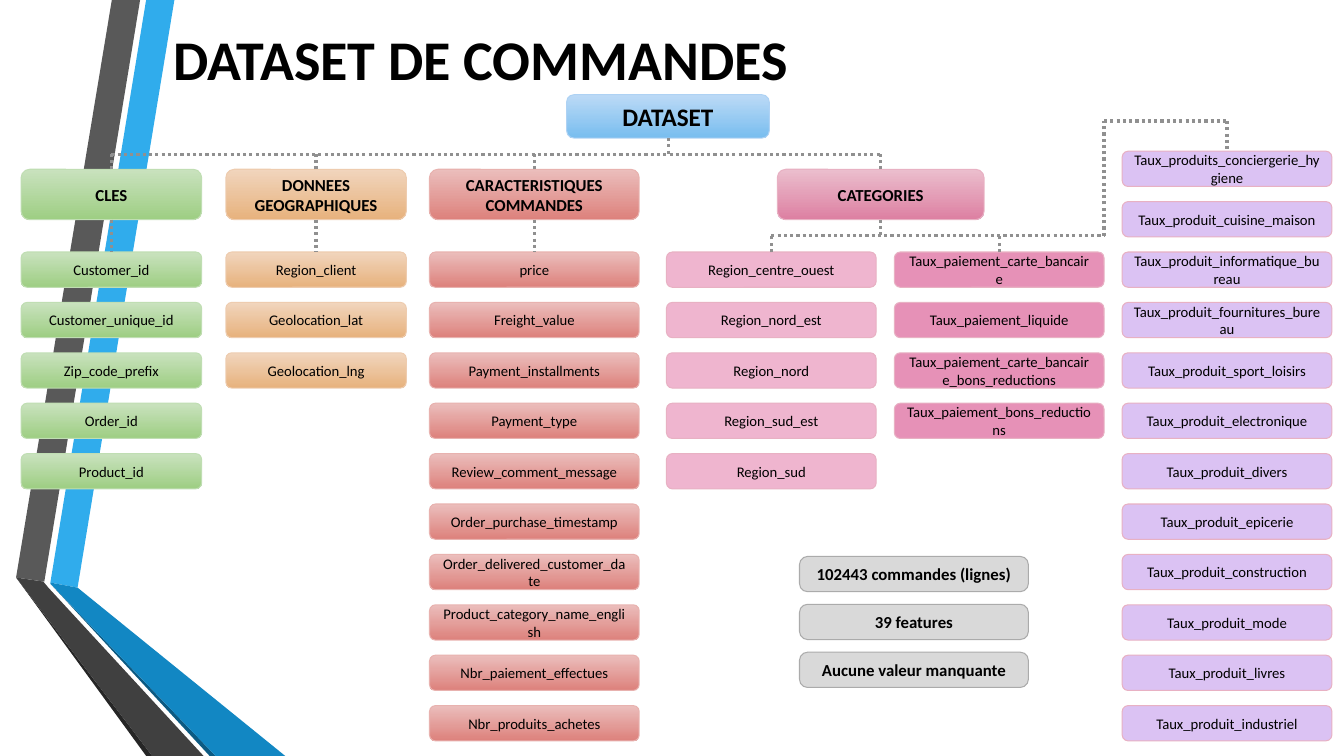
from dataclasses import dataclass
from typing import Optional

import lxml.etree
import pptx
import pptx.dml.color
import pptx.enum.dml
import pptx.enum.shapes
import pptx.enum.text
import pptx.oxml.ns
import pptx.util

Inches = pptx.util.Inches

# Fills are (top, bottom) gradients; equal values give a plain fill
COLORS = {
    "text": "000000", "connector": "909090",
    "blue_top": "BCDAF6", "blue_bottom": "78BDEF", "blue_line": "AED2F4",
    "green_top": "C9E2BE", "green_bottom": "9ECE83", "green_line": "C0DEB3",
    "orange_top": "F1D5BD", "orange_bottom": "E7B27D", "orange_line": "EECCAF",
    "red_top": "EBBEBC", "red_bottom": "DD817C", "red_line": "E8B2AF",
    "pink_top": "EBBECD", "pink_bottom": "DD80A2", "pink_line": "E8B1C3",
    "region": "EFB5CF", "payment": "E691B7", "product": "DBC2F3",
    "summary": "D9D9D9", "summary_line": "ABABAB",
    "band_blue": "30ACEC", "band_grey": "595959", "fold_black": "262626",
    "fold_navy": "0C5A82", "fold_blue": "1287C3", "fold_grey": "404040",
}
ROW_PITCH = 0.5
ROW_HEIGHT = 0.35
HEADER_TOP, HEADER_HEIGHT = 1.68, 0.5
FIELDS_TOP = 2.5


@dataclass
class Palette:
    top: str
    bottom: str
    line: str


@dataclass
class Column:
    left: float
    width: float
    palette: Palette
    fields: list[str]
    header: Optional[str] = None
    top: float = FIELDS_TOP

    @property
    def center(self) -> float:
        return self.left + self.width / 2


@dataclass
class Band:
    color: str
    points: list[tuple[float, float]]


def gradient_palette(name: str) -> Palette:
    return Palette(f"{name}_top", f"{name}_bottom", f"{name}_line")


BANDS = [
    Band("band_blue", [(0.5, 5.78), (0.77, 5.83), (1.73, 0), (1.45, 0)]),
    Band("band_grey", [(1.39, 0), (1.11, 0), (0.16, 5.73), (0.44, 5.77)]),
    Band("fold_black", [(0.16, 5.73), (1.45, 7.5), (1.51, 7.5)]),
    Band("fold_navy", [(0.5, 5.79), (2.08, 7.5), (2.14, 7.5)]),
    Band("fold_blue", [(0.5, 5.78), (0.5, 5.79), (2.14, 7.5), (2.83, 7.5), (0.77, 5.83)]),
    Band("fold_grey", [(2.02, 7.5), (0.48, 5.83), (0.43, 5.77), (0.16, 5.73), (1.51, 7.5)]),
]
KEYS = Column(0.21, 1.79, gradient_palette("green"), [
    "Customer_id", "Customer_unique_id", "Zip_code_prefix", "Order_id", "Product_id",
], "CLES")
GEOGRAPHY = Column(2.24, 1.79, gradient_palette("orange"), [
    "Region_client", "Geolocation_lat", "Geolocation_lng",
], "DONNEES GEOGRAPHIQUES")
ORDERS = Column(4.26, 2.08, gradient_palette("red"), [
    "price", "Freight_value", "Payment_installments", "Payment_type",
    "Review_comment_message", "Order_purchase_timestamp",
    "Order_delivered_customer_date", "Product_category_name_english",
    "Nbr_paiement_effectues", "Nbr_produits_achetes",
], "CARACTERISTIQUES COMMANDES")
CATEGORIES = Column(7.71, 2.05, gradient_palette("pink"), [], "CATEGORIES")
REGIONS = Column(6.61, 2.08, Palette("region", "region", "pink_line"), [
    "Region_centre_ouest", "Region_nord_est", "Region_nord", "Region_sud_est", "Region_sud",
])
PAYMENTS = Column(8.87, 2.08, Palette("payment", "payment", "pink_line"), [
    "Taux_paiement_carte_bancaire", "Taux_paiement_liquide",
    "Taux_paiement_carte_bancaire_bons_reductions", "Taux_paiement_bons_reductions",
])
PRODUCTS = Column(11.13, 2.08, Palette("product", "product", "pink_line"), [
    "Taux_produits_conciergerie_hygiene", "Taux_produit_cuisine_maison",
    "Taux_produit_informatique_bureau", "Taux_produit_fournitures_bureau",
    "Taux_produit_sport_loisirs", "Taux_produit_electronique", "Taux_produit_divers",
    "Taux_produit_epicerie", "Taux_produit_construction", "Taux_produit_mode",
    "Taux_produit_livres", "Taux_produit_industriel",
], top=1.5)
COLUMNS = [KEYS, GEOGRAPHY, ORDERS, CATEGORIES, REGIONS, PAYMENTS, PRODUCTS]
SUMMARY = ["102443 commandes (lignes)", "39 features", "Aucune valeur manquante"]


def rgb(name: str) -> pptx.dml.color.RGBColor:
    return pptx.dml.color.RGBColor.from_string(COLORS[name])


def write_text(shape, text: str, *, size: float, bold: bool = False,
               align=pptx.enum.text.PP_ALIGN.CENTER) -> None:
    frame = shape.text_frame
    frame.word_wrap = True
    frame.auto_size = pptx.enum.text.MSO_AUTO_SIZE.NONE
    frame.vertical_anchor = pptx.enum.text.MSO_ANCHOR.MIDDLE
    paragraph = frame.paragraphs[0]
    paragraph.alignment = align
    run = paragraph.add_run()
    run.text = text
    run.font.name = "Calibri"
    run.font.size = pptx.util.Pt(size)
    run.font.bold = bold
    run.font.color.rgb = rgb("text")


def add_box(slide, left: float, top: float, width: float, height: float,
            palette: Palette, text: str, *, size: float = 10.5, bold: bool = False):
    shape = slide.shapes.add_shape(
        pptx.enum.shapes.MSO_SHAPE.ROUNDED_RECTANGLE,
        Inches(left), Inches(top), Inches(width), Inches(height))
    shape.shadow.inherit = False
    if palette.top == palette.bottom:
        shape.fill.solid()
        shape.fill.fore_color.rgb = rgb(palette.top)
    else:
        shape.fill.gradient()
        shape.fill.gradient_angle = 270
        for stop, color in zip(shape.fill.gradient_stops, (palette.top, palette.bottom)):
            stop.color.rgb = rgb(color)
    shape.line.color.rgb = rgb(palette.line)
    shape.line.width = pptx.util.Pt(0.75)
    write_text(shape, text, size=size, bold=bold)
    return shape


def add_dotted_path(slide, *points: tuple[float, float]) -> None:
    for (x1, y1), (x2, y2) in zip(points, points[1:]):
        line = slide.shapes.add_connector(
            pptx.enum.shapes.MSO_CONNECTOR.STRAIGHT,
            Inches(x1), Inches(y1), Inches(x2), Inches(y2))
        line.line.color.rgb = rgb("connector")
        line.line.width = pptx.util.Pt(2.25)
        line.line.dash_style = pptx.enum.dml.MSO_LINE.ROUND_DOT
        lxml.etree.SubElement(line.element.spPr, pptx.oxml.ns.qn("a:effectLst"))


def add_band(slide, band: Band) -> None:
    points = [(Inches(x), Inches(y)) for x, y in band.points]
    builder = slide.shapes.build_freeform(*points[0])
    builder.add_line_segments(points[1:], close=True)
    shape = builder.convert_to_shape()
    shape.shadow.inherit = False
    shape.fill.solid()
    shape.fill.fore_color.rgb = rgb(band.color)
    shape.line.fill.background()


def add_column(slide, column: Column) -> None:
    if column.header:
        add_box(slide, column.left, HEADER_TOP, column.width, HEADER_HEIGHT,
                column.palette, column.header, size=12, bold=True)
    for row, field in enumerate(column.fields):
        add_box(slide, column.left, column.top + row * ROW_PITCH, column.width,
                ROW_HEIGHT, column.palette, field)


def add_tree_lines(slide) -> None:
    trunk, branch, detour = 1.53, 2.34, 1.2
    header_bottom = HEADER_TOP + HEADER_HEIGHT
    # From the root to the four headers
    add_dotted_path(slide, (6.63, 1.37), (6.63, trunk))
    add_dotted_path(slide, (KEYS.center, trunk), (CATEGORIES.center, trunk))
    for column in (KEYS, GEOGRAPHY, ORDERS, CATEGORIES):
        add_dotted_path(slide, (column.center, HEADER_TOP), (column.center, trunk))
        end = FIELDS_TOP if column.fields else branch
        add_dotted_path(slide, (column.center, header_bottom), (column.center, end))
    # From the categories to their three lists
    for column in (REGIONS, PAYMENTS):
        add_dotted_path(slide, (column.center, FIELDS_TOP), (column.center, branch))
    add_dotted_path(slide, (REGIONS.center, branch), (10.95, branch), (10.95, detour),
                    (PRODUCTS.center, detour), (PRODUCTS.center, PRODUCTS.top))


def main() -> None:
    presentation = pptx.Presentation()
    presentation.slide_width, presentation.slide_height = Inches(13.33), Inches(7.5)
    slide = presentation.slides.add_slide(presentation.slide_layouts[5])

    # Folded bands, with the title in front of them
    for band in BANDS:
        add_band(slide, band)
    title = slide.shapes.title
    title.left, title.top, title.width, title.height = map(Inches, (1.62, 0, 10.96, 1.16))
    write_text(title, "DATASET DE COMMANDES", size=40, bold=True,
               align=pptx.enum.text.PP_ALIGN.LEFT)
    title.element.getparent().append(title.element)

    # Tree of fields
    add_box(slide, 5.62, 0.94, 2.01, 0.43, gradient_palette("blue"), "DATASET",
            size=18, bold=True)
    for column in COLUMNS:
        add_column(slide, column)
    add_tree_lines(slide)

    # Summary figures
    for row, text in enumerate(SUMMARY):
        box = add_box(slide, 7.93, 5.52 + row * 0.475, 2.27, ROW_HEIGHT,
                      Palette("summary", "summary", "summary_line"), text, size=12, bold=True)
        box.adjustments[0] = 0.23
    presentation.save("out.pptx")


if __name__ == "__main__":
    main()
